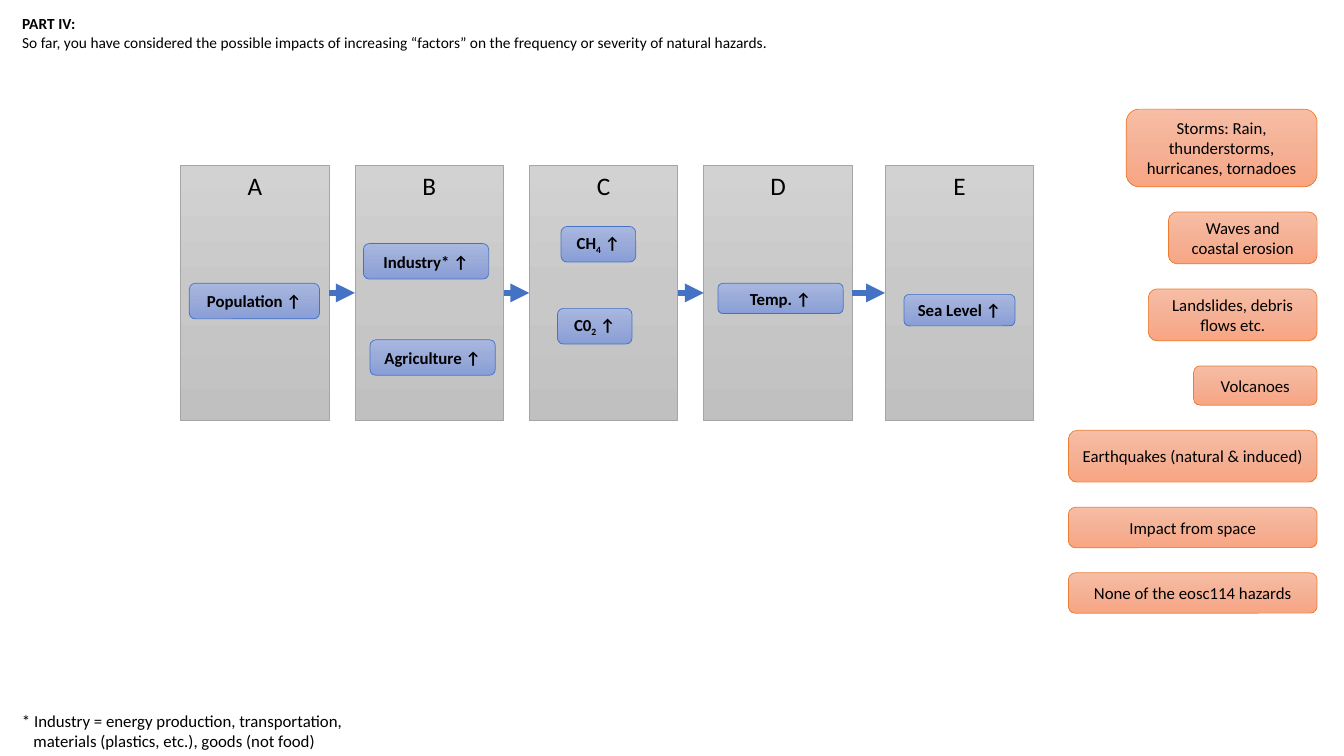
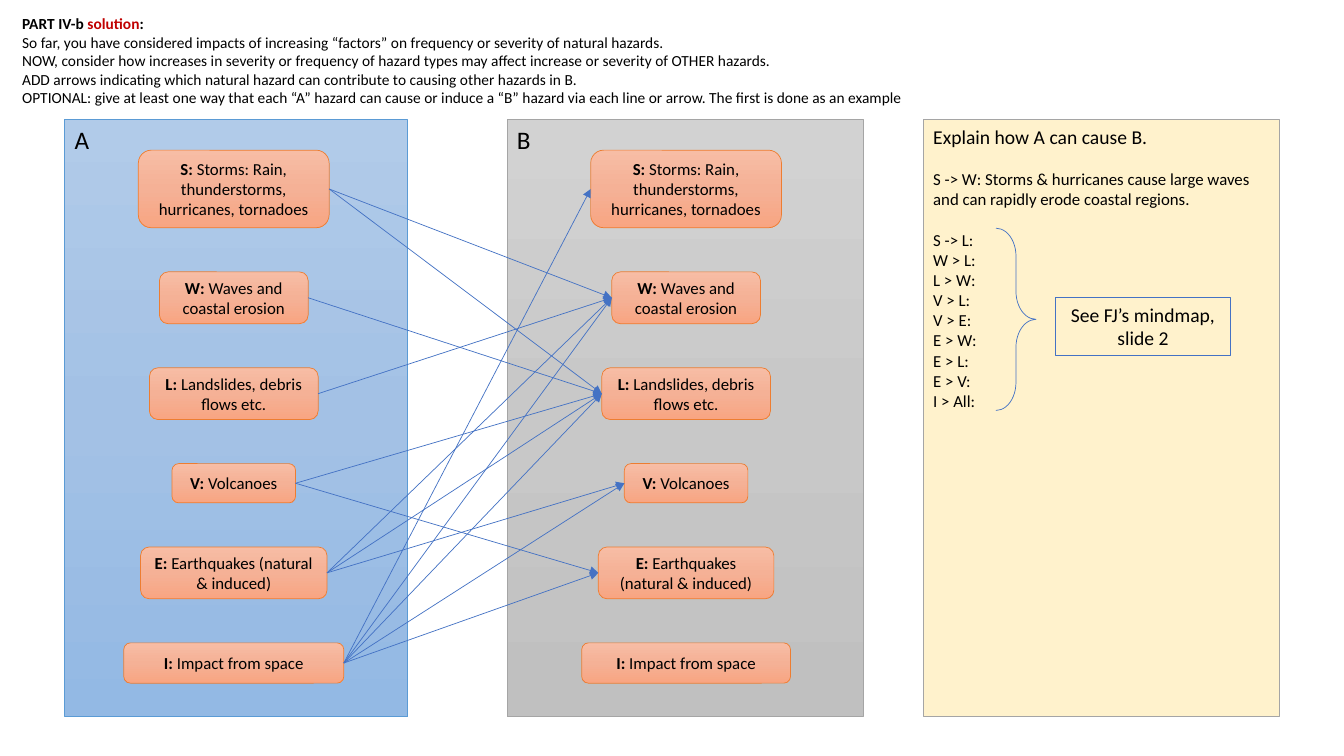
from copy import deepcopy
from dataclasses import dataclass

from lxml.etree import SubElement
from pptx import Presentation
from pptx.dml.color import RGBColor
from pptx.enum.shapes import MSO_CONNECTOR as Connector, MSO_SHAPE as Shape
from pptx.enum.text import MSO_ANCHOR as Anchor, MSO_AUTO_SIZE as AutoSize, PP_ALIGN as Align
from pptx.oxml.ns import qn
from pptx.util import Pt


@dataclass(frozen=True)
class Theme:
    font: str = "Calibri"
    text: str = "000000"
    accent: str = "C00000"
    blue: str = "4472C4"
    gray: str = "A5A5A5"
    sky: str = "5B9BD5"
    orange: str = "ED7D31"
    cream: str = "FFF2CC"
    gray_fill: tuple = ("D2D2D2", "C8C8C8", "C0C0C0")
    sky_fill: tuple = ("B1CBE9", "A3C1E5", "93B9E4")
    blue_fill: tuple = ("A8B7DF", "9AABD9", "889ED7")
    orange_fill: tuple = ("F7BDA5", "F5B196", "F8A582")
    heading: float = 11
    body: float = 12
    note: float = 14
    label: float = 18
    thin: float = 0.5
    thick: float = 4.5


@dataclass(frozen=True)
class Span:
    text: str
    bold: bool = False
    color: str = ""
    sub: bool = False


THEME = Theme()
RIGHT_SIDE, LEFT_SIDE = 3, 1


class Deck:
    def __init__(self, theme):
        self.theme = theme
        self.deck = Presentation()
        self.deck.slide_width, self.deck.slide_height = Pt(960), Pt(540)
        self.page = None

    def new_page(self, title, lines):
        """Start a slide with a bold heading and plain lines right below it."""
        self.page = self.deck.slides.add_slide(self.deck.slide_layouts[1])
        heading, body = self.page.placeholders
        for box, top, height, paras in (
            (heading, 10, 13.5, [title]),
            (body, 23.5, 13.5 * len(lines), lines),
        ):
            box.left, box.top, box.width, box.height = Pt(8.6), Pt(top), Pt(905), Pt(height)
            frame = box.text_frame
            frame.auto_size = AutoSize.NONE
            frame.margin_top = frame.margin_bottom = 0
            self.set_text(frame, paras, self.theme.heading)
            for para in frame.paragraphs:
                para.space_before = Pt(0)
                self.indent(para, 0)
                SubElement(para._p.get_or_add_pPr(), qn("a:buNone"))

    def set_text(self, frame, paras, size, align=Align.LEFT, anchor=Anchor.TOP):
        """Fill a frame; each paragraph is a string or a list of spans."""
        frame.word_wrap = True
        frame.vertical_anchor = anchor
        for index, content in enumerate(paras):
            para = frame.add_paragraph() if index else frame.paragraphs[0]
            para.alignment = align
            if isinstance(content, str):
                para.text = content
                spans = [Span(content)] * len(para.runs)
            else:
                spans = content
                for span in spans:
                    para.add_run().text = span.text
            for run, span in zip(para.runs, spans):
                font = run.font
                font.name, font.size, font.bold = self.theme.font, Pt(size), span.bold
                font.color.rgb = RGBColor.from_string(span.color or self.theme.text)
                if span.sub:
                    font._element.set("baseline", "-25000")

    def indent(self, para, points):
        """Hang the first line back by the left margin."""
        props = para._p.get_or_add_pPr()
        props.set("marL", str(Pt(points)))
        props.set("indent", str(-Pt(points)))

    def shape(self, kind, place, line, fill=None, weight=None):
        """Draw a shape; fill is a colour, three gradient colours or None."""
        shape = self.page.shapes.add_shape(kind, *map(Pt, place))
        shape.shadow.inherit = False
        shape.line.color.rgb = RGBColor.from_string(line)
        shape.line.width = Pt(weight or self.theme.thin)
        if fill is None:
            shape.fill.background()
        elif isinstance(fill, str):
            shape.fill.solid()
            shape.fill.fore_color.rgb = RGBColor.from_string(fill)
        else:
            shape.fill.gradient()
            shape.fill.gradient_angle = 270
            stops = shape._element.spPr.find(qn("a:gradFill")).find(qn("a:gsLst"))
            stops.insert(1, deepcopy(stops[0]))
            for index, stop in enumerate(shape.fill.gradient_stops):
                stop.color.rgb = RGBColor.from_string(fill[index])
                stop.position = index / 2
        return shape

    def panel(self, label, place, line, fill, align=Align.LEFT):
        panel = self.shape(Shape.RECTANGLE, place, line, fill)
        self.set_text(panel.text_frame, [label], self.theme.label, align)
        return panel

    def pill(self, content, place, line, fill):
        pill = self.shape(Shape.ROUNDED_RECTANGLE, place, line, fill)
        self.set_text(pill.text_frame, [content], self.theme.body, Align.CENTER, Anchor.MIDDLE)
        return pill

    def hazards(self, items, top, gap, edge, align):
        """Stack hazard pills with equal gaps, right-aligned or centred on edge."""
        pills = []
        for content, width, height in items:
            left = edge - (width if align == Align.RIGHT else width / 2)
            place = (left, top, width, height)
            pills.append(self.pill(content, place, self.theme.orange, self.theme.orange_fill))
            top += height + gap
        return pills

    def arrow(self, source, target, weight):
        arrow = self.page.shapes.add_connector(Connector.STRAIGHT, 0, 0, 0, 0)
        arrow.begin_connect(source, RIGHT_SIDE)
        arrow.end_connect(target, LEFT_SIDE)
        arrow.line.color.rgb = RGBColor.from_string(self.theme.blue)
        arrow.line.width = Pt(weight)
        props = arrow._element.spPr
        SubElement(props.find(qn("a:ln")), qn("a:tailEnd")).set("type", "triangle")
        SubElement(props, qn("a:effectLst"))

    def footnote(self, text, place):
        box = self.page.shapes.add_textbox(*map(Pt, place))
        self.set_text(box.text_frame, [text], self.theme.body)
        self.indent(box.text_frame.paragraphs[0], 8.2)


# key: (name, width, height)
HAZARDS = {
    "S": ("Storms: Rain, thunderstorms, hurricanes, tornadoes", 136.3, 55.4),
    "W": ("Waves and coastal erosion", 106.2, 37),
    "L": ("Landslides, debris flows etc.", 120.5, 37),
    "V": ("Volcanoes", 88.2, 28),
    "E": ("Earthquakes (natural & induced)", 177.6, 37),
    "I": ("Impact from space", 177.6, 28.8),
}
CAUSES = {"S": "WL", "W": "L", "L": "W", "V": "LE", "E": "WLV", "I": "SWLVE"}


def factors_page(deck):
    theme = deck.theme
    deck.new_page([Span("PART IV:", bold=True)], [
        "So far, you have considered the possible impacts of increasing “factors” "
        "on the frequency or severity of natural hazards.",
    ])
    lefts = (129, 253.5, 378, 502.7, 632.2)
    columns = [
        deck.panel(label, (left, 118, 106.2, 182.5), theme.gray, theme.gray_fill, Align.CENTER)
        for label, left in zip("ABCDE", lefts)
    ]
    for source, target in zip(columns, columns[1:]):
        deck.arrow(source, target, theme.thick)

    factors = [
        ("Population", "", (135.2, 202.4, 93, 25.4)),
        ("Industry*", "", (259.6, 174, 89.5, 25.4)),
        ("Agriculture", "", (264.3, 242.7, 89.5, 25.4)),
        ("CH", "4", (400.8, 161.8, 53.3, 25.4)),
        ("C0", "2", (398.2, 220.3, 53.3, 25.4)),
        ("Temp.", "", (512.8, 202.4, 89.5, 21.6)),
        ("Sea Level", "", (645.7, 210.3, 79.3, 22.5)),
    ]
    for name, subscript, place in factors:
        spans = [Span(name, bold=True), Span(" ↑", bold=True)]
        if subscript:
            spans.insert(1, Span(subscript, bold=True, sub=True))
        deck.pill(spans, place, theme.blue, theme.blue_fill)

    items = [*HAZARDS.values(), ("None of the eosc114 hazards", 177.6, 28.8)]
    deck.hazards(items, top=78, gap=18, edge=940.8, align=Align.RIGHT)
    deck.footnote(
        "* Industry = energy production, transportation,\v"
        "materials (plastics, etc.), goods (not food)",
        (8.6, 504, 252, 36),
    )


def solution_page(deck):
    theme = deck.theme
    title = [
        Span("PART IV-b ", bold=True),
        Span("solution", bold=True, color=theme.accent),
        Span(":", bold=True),
    ]
    deck.new_page(title, [
        "So far, you have considered impacts of increasing “factors” on frequency or "
        "severity of natural hazards.",
        "NOW, consider how increases in severity or frequency of hazard types may affect "
        "increase or severity of OTHER hazards.",
        "ADD arrows indicating which natural hazard can contribute to causing other hazards in B.",
        "OPTIONAL: give at least one way that each “A” hazard can cause or induce a “B” hazard "
        "via each line or arrow. The first is done as an example",
    ])
    top, height = 85.5, 426.5
    sides = [
        ("A", 46.3, 245, theme.sky, theme.sky_fill, 167, {"E": 133.2, "I": 157.2}),
        ("B", 362.2, 254.2, theme.gray, theme.gray_fill, 490.1, {"E": 125.4, "I": 149.2}),
    ]
    stacks = []
    for label, left, width, line, fill, center, widths in sides:
        deck.panel(label, (left, top, width, height), line, fill)
        items = [
            ([Span(f"{key}: ", bold=True), Span(name)], widths.get(key, usual), tall)
            for key, (name, usual, tall) in HAZARDS.items()
        ]
        pills = deck.hazards(items, top=107.3, gap=31.5, edge=center, align=Align.CENTER)
        stacks.append(dict(zip(HAZARDS, pills)))
    causes, effects = stacks
    for cause, keys in CAUSES.items():
        for effect in keys:
            deck.arrow(causes[cause], effects[effect], theme.thin)

    panel = deck.shape(Shape.RECTANGLE, (659.5, top, 254.2, height), theme.gray, theme.cream)
    pairs = ["S -> L:", "W > L:", "L > W:", "V > L:", "V > E:", "E > W:", "E > L:", "E > V:", "I > All:"]
    example = "S -> W: Storms & hurricanes cause large waves and can rapidly erode coastal regions."
    deck.set_text(panel.text_frame, ["Explain how A can cause B.", example, *pairs], theme.body)
    heading, example_para, first_pair = panel.text_frame.paragraphs[:3]
    heading.runs[0].font.size = Pt(theme.note)
    for para in (example_para, first_pair):
        para.space_before = Pt(14.6)

    mindmap = deck.shape(Shape.RECTANGLE, (753.8, 212.5, 125.3, 41.2), theme.blue, weight=0.75)
    deck.set_text(mindmap.text_frame, ["See FJ’s mindmap, slide 2"], theme.note, Align.CENTER)
    brace = deck.shape(Shape.RIGHT_BRACE, (711.4, 163, 28.6, 130.2), theme.blue)
    brace.adjustments[0] = 0.7


def main():
    deck = Deck(THEME)
    factors_page(deck)
    solution_page(deck)
    deck.deck.save("out.pptx")


if __name__ == "__main__":
    main()
